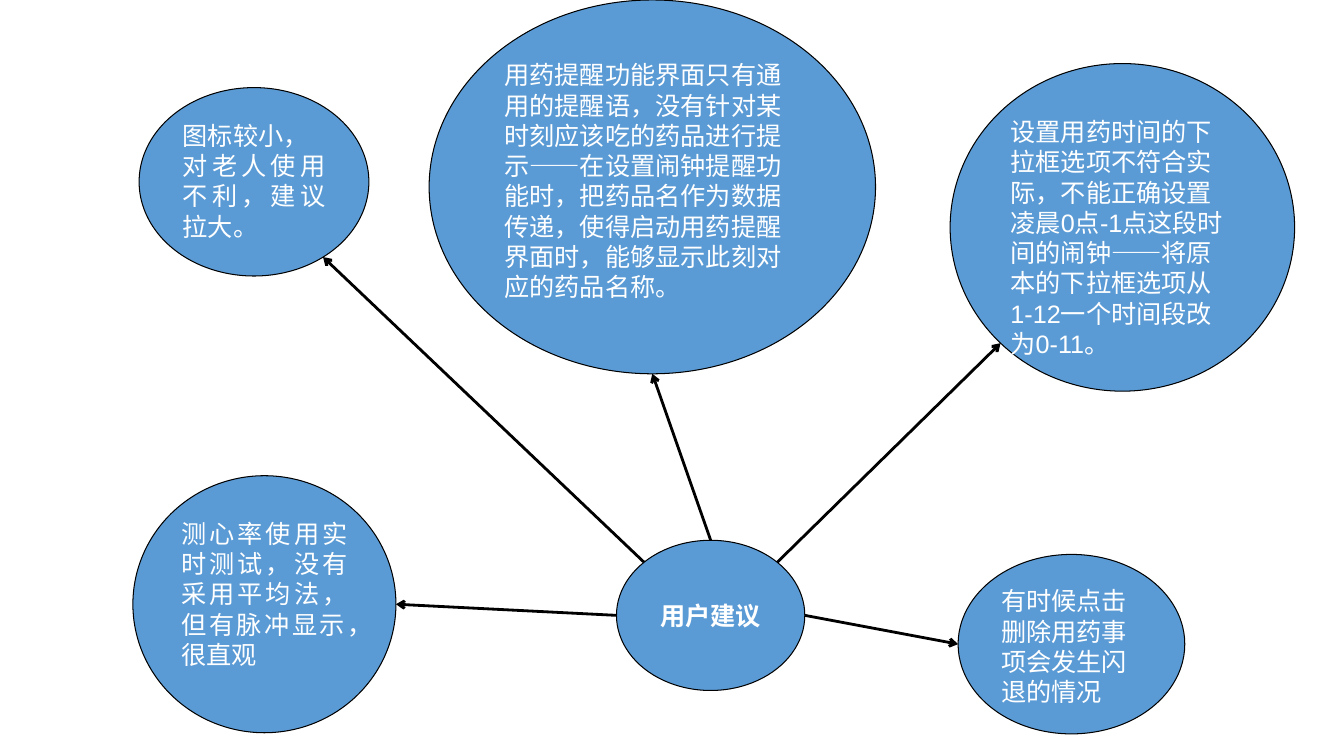
from dataclasses import dataclass
from math import cos, radians, sin

from lxml.etree import SubElement
from pptx import Presentation
from pptx.dml.color import RGBColor
from pptx.enum.shapes import MSO_CONNECTOR, MSO_SHAPE
from pptx.enum.text import MSO_ANCHOR, PP_ALIGN
from pptx.oxml.ns import qn
from pptx.util import Pt

BLUE, BLACK, WHITE = "5B9BD5", "000000", "FFFFFF"


@dataclass
class Bubble:
    text: str
    left: float
    top: float
    width: float
    height: float
    align: PP_ALIGN = PP_ALIGN.LEFT
    anchor: MSO_ANCHOR = MSO_ANCHOR.TOP
    bold: bool = False

    def edge(self, angle: float) -> tuple[Pt, Pt]:
        """Point on the outline, clockwise in degrees from the right."""
        x = self.left + self.width / 2 * (1 + cos(radians(angle)))
        y = self.top + self.height / 2 * (1 + sin(radians(angle)))
        return Pt(x), Pt(y)


@dataclass
class Arrow:
    target: Bubble
    hub_angle: float
    target_angle: float


def color(value: str) -> RGBColor:
    return RGBColor.from_string(value)


def draw_bubble(shapes, b: Bubble) -> None:
    sp = shapes.add_shape(MSO_SHAPE.OVAL, Pt(b.left), Pt(b.top), Pt(b.width), Pt(b.height))
    sp.shadow.inherit = False
    sp.fill.solid()
    sp.fill.fore_color.rgb = color(BLUE)
    sp.line.color.rgb = color(BLACK)
    sp.line.width = Pt(0.75)
    tf = sp.text_frame
    tf.word_wrap = True
    tf.vertical_anchor = b.anchor
    tf.text = b.text
    for p in tf.paragraphs:
        p.alignment = b.align
        for r in p.runs:
            r.font.name = "Arial"
            r.font.size = Pt(18)
            r.font.bold = b.bold
            r.font.color.rgb = color(WHITE)


def draw_arrow(shapes, hub: Bubble, a: Arrow) -> None:
    line = shapes.add_connector(
        MSO_CONNECTOR.STRAIGHT, *hub.edge(a.hub_angle), *a.target.edge(a.target_angle))
    line.line.color.rgb = color(BLACK)
    line.line.width = Pt(2)
    SubElement(line.line._get_or_add_ln(), qn("a:tailEnd"), type="arrow")
    SubElement(line._element.spPr, qn("a:effectLst"))


# Bubbles
icons = Bubble("图标较小，\n对老人使用不利，建议拉大。",
               99.4, 62.6, 164.2, 134.6, PP_ALIGN.JUSTIFY)
heart_rate = Bubble("测心率使用实时测试，没有采用平均法，但有脉冲显示，很直观",
                    95, 339.8, 188, 183.6, PP_ALIGN.JUSTIFY)
reminder = Bubble("用药提醒功能界面只有通用的提醒语，没有针对某时刻应该吃的药品进行提示——"
                  "在设置闹钟提醒功能时，把药品名作为数据传递，使得启动用药提醒界面时，"
                  "能够显示此刻对应的药品名称。", 306.7, 0, 319, 267)
time_range = Bubble("设置用药时间的下拉框选项不符合实际，不能正确设置凌晨0点-1点这段时间的闹钟——"
                    "将原本的下拉框选项从1-12一个时间段改为0-11。", 679, 45.4, 246.2, 234)
crash = Bubble("有时候点击删除用药事项会发生闪退的情况", 684.7, 396, 162, 128.2)
hub = Bubble("用户建议", 440.6, 385.9, 134.6, 107.3,
             PP_ALIGN.CENTER, MSO_ANCHOR.MIDDLE, True)

# Arrows from the hub
arrows = [
    Arrow(heart_rate, 180, 0),
    Arrow(icons, 225, 53),
    Arrow(reminder, 270, 90),
    Arrow(time_range, 315, 135),
    Arrow(crash, 0, 180),
]

# Slide
prs = Presentation()
prs.slide_width, prs.slide_height = Pt(960.5), Pt(540)
s = prs.slides.add_slide(prs.slide_layouts[6])
for bubble in (icons, heart_rate, reminder, time_range, crash, hub):
    draw_bubble(s.shapes, bubble)
for arrow in arrows:
    draw_arrow(s.shapes, hub, arrow)
prs.save("out.pptx")
